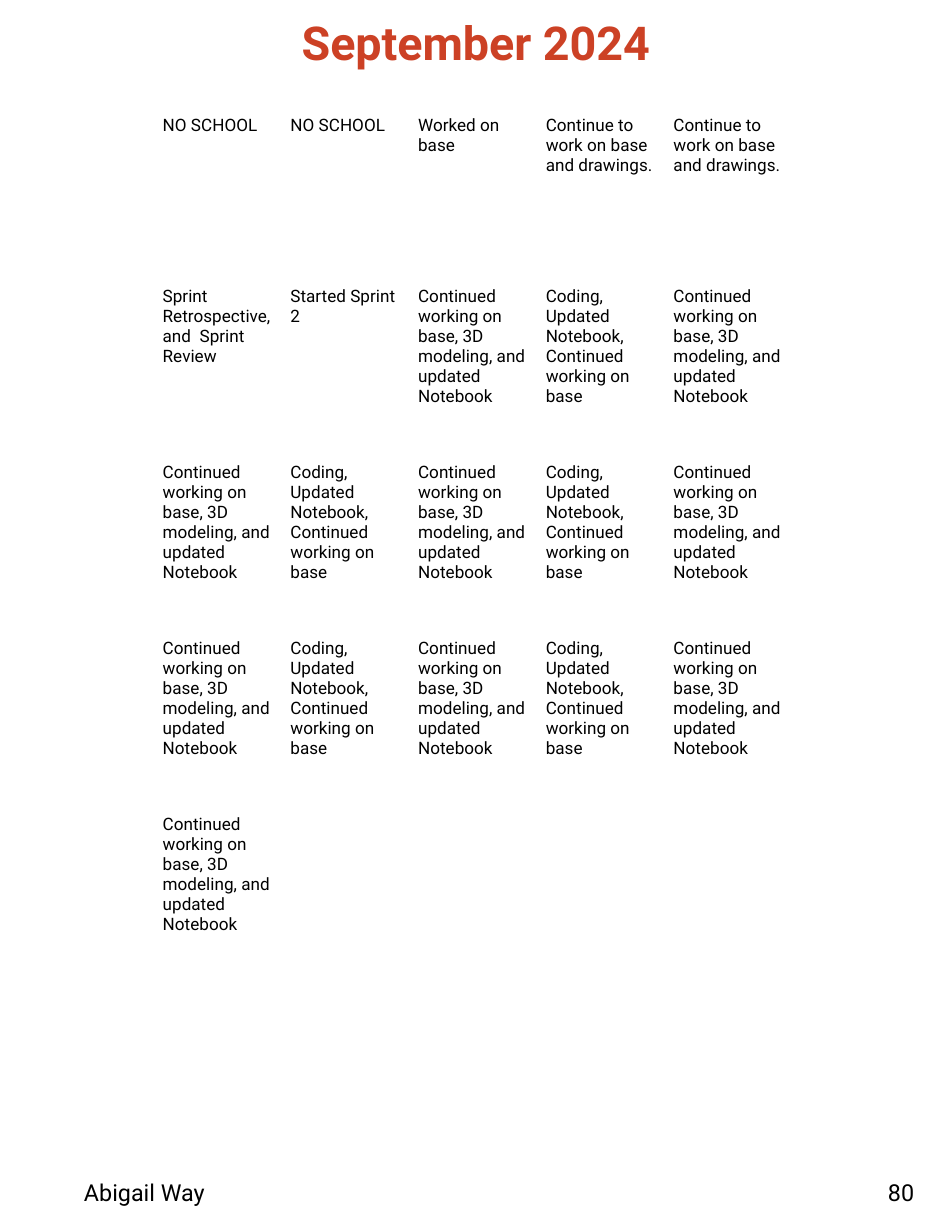
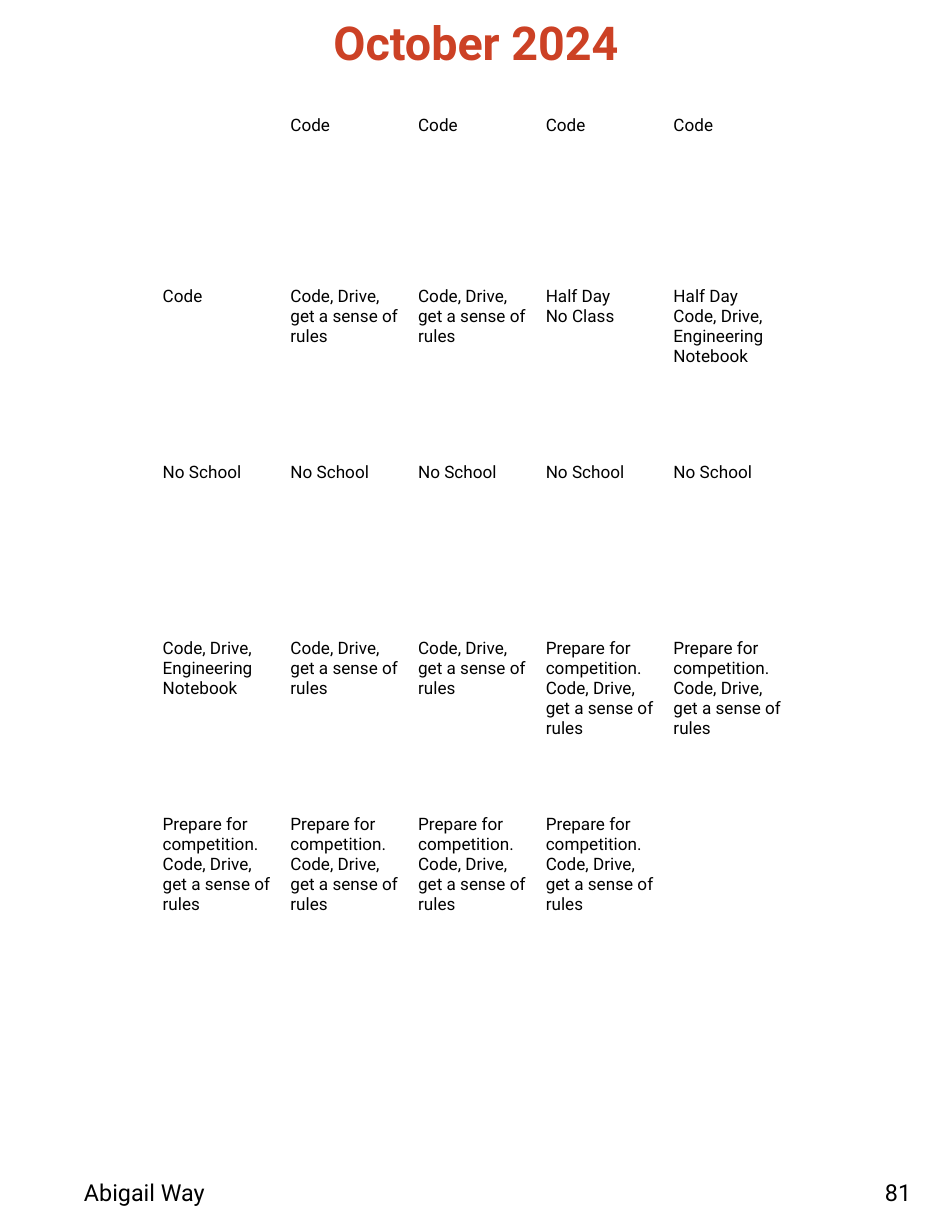
from pptx import Presentation
from pptx.dml.color import RGBColor
from pptx.enum.text import MSO_ANCHOR, MSO_AUTO_SIZE, PP_ALIGN
from pptx.util import Emu, Pt

SLIDE_WIDTH, SLIDE_HEIGHT = 952, 1232
FONT = "Roboto"
INK, ACCENT = "000000", "CC4125"
TITLE_BOX = (29, 11, 894, 49)
CALENDAR_BOX = (29, 94, 894, 1051)
AUTHOR_BOX = (84, 1178, 392, 28)
AUTHOR = "Abigail Way"
PAGE_TOP, PAGE_WIDTH, PAGE_HEIGHT = 1178, 59, 28
DAY_COLUMNS, WEEK_ROWS, FIRST_ROW_HEIGHT = 7, 6, 171

MODELING = "Continued working on base, 3D modeling, and updated Notebook"
CODING = "Coding, Updated Notebook, Continued working on base"
DRAWINGS = "Continue to work on base and drawings."
RULES = "Code, Drive, get a sense of rules"
NOTEBOOK = "Code, Drive, Engineering Notebook"
PREPARE = f"Prepare for competition. {RULES}"
FULL_WEEK = [MODELING, CODING, MODELING, CODING, MODELING]

SEPTEMBER = [
    ["NO SCHOOL", "NO SCHOOL", "Worked on base", DRAWINGS, DRAWINGS],
    ["Sprint Retrospective, and  Sprint Review", "Started Sprint 2", MODELING, CODING, MODELING],
    FULL_WEEK,
    FULL_WEEK,
    [MODELING],
]
OCTOBER = [
    [""] + ["Code"] * 4,
    ["Code", RULES, RULES, "Half Day\nNo Class", f"Half Day\n{NOTEBOOK}"],
    ["No School"] * 5,
    [NOTEBOOK, RULES, RULES, PREPARE, PREPARE],
    [PREPARE] * 4,
]
MONTHS = [
    ("September 2024", "80", 888, SEPTEMBER),
    ("October 2024", "81", 885, OCTOBER),
]


def px(length):
    """Turn a length in px into EMU."""
    return Emu(round(length * 914400 / 112))


def color(value):
    """Turn a hex string into a colour."""
    return RGBColor.from_string(value)


def write(text_frame, text, size, ink=INK, bold=False, align=PP_ALIGN.LEFT):
    """Fill a text frame with text in one style."""
    text_frame.text = text
    text_frame.word_wrap = True
    for paragraph in text_frame.paragraphs:
        paragraph.alignment = align
        paragraph.font.name = FONT
        paragraph.font.size = Pt(size)
        paragraph.font.bold = bold
        paragraph.font.color.rgb = color(ink)


def set_insets(holder, left=0, top=0, right=0, bottom=0):
    """Set the inner margins of a text frame or cell."""
    holder.margin_left, holder.margin_top = px(left), px(top)
    holder.margin_right, holder.margin_bottom = px(right), px(bottom)


def add_title(slide, box, text):
    """Place and format the month title."""
    title = slide.shapes.title
    title.left, title.top, title.width, title.height = map(px, box)
    frame = title.text_frame
    write(frame, text, 30, ACCENT, True, PP_ALIGN.CENTER)
    set_insets(frame, top=3)
    frame.auto_size = MSO_AUTO_SIZE.NONE
    frame.vertical_anchor = MSO_ANCHOR.TOP


def add_footer_text(slide, box, text):
    """Add one piece of the footer."""
    frame = slide.shapes.add_textbox(*map(px, box)).text_frame
    write(frame, text, 15)
    set_insets(frame)


def add_calendar(slide, box, weeks):
    """Add the month grid, with weekdays between two empty weekend columns."""
    left, top, width, height = box
    table = slide.shapes.add_table(WEEK_ROWS, DAY_COLUMNS, *map(px, box)).table
    table.first_row = table.horz_banding = False
    for column in table.columns:
        column.width = px(width / DAY_COLUMNS)
    for row in table.rows:
        row.height = px((height - FIRST_ROW_HEIGHT) / (WEEK_ROWS - 1))
    table.rows[0].height = px(FIRST_ROW_HEIGHT)
    for cell in table.iter_cells():
        cell.fill.background()
    for row_index, week in enumerate(weeks):
        for column_index, entry in enumerate(week, start=1):
            if entry:
                cell = table.cell(row_index, column_index)
                set_insets(cell, 6, 22, 6, 6)
                write(cell.text_frame, entry, 11)


def add_month(presentation, name, page, page_left, weeks):
    """Add one month slide."""
    slide = presentation.slides.add_slide(presentation.slide_layouts[5])
    add_footer_text(slide, AUTHOR_BOX, AUTHOR)
    add_footer_text(slide, (page_left, PAGE_TOP, PAGE_WIDTH, PAGE_HEIGHT), page)
    add_title(slide, TITLE_BOX, name)
    add_calendar(slide, CALENDAR_BOX, weeks)


def main():
    """Build and save the calendar pages."""
    presentation = Presentation()
    presentation.slide_width = px(SLIDE_WIDTH)
    presentation.slide_height = px(SLIDE_HEIGHT)
    for month in MONTHS:
        add_month(presentation, *month)
    presentation.save("out.pptx")


if __name__ == "__main__":
    main()
